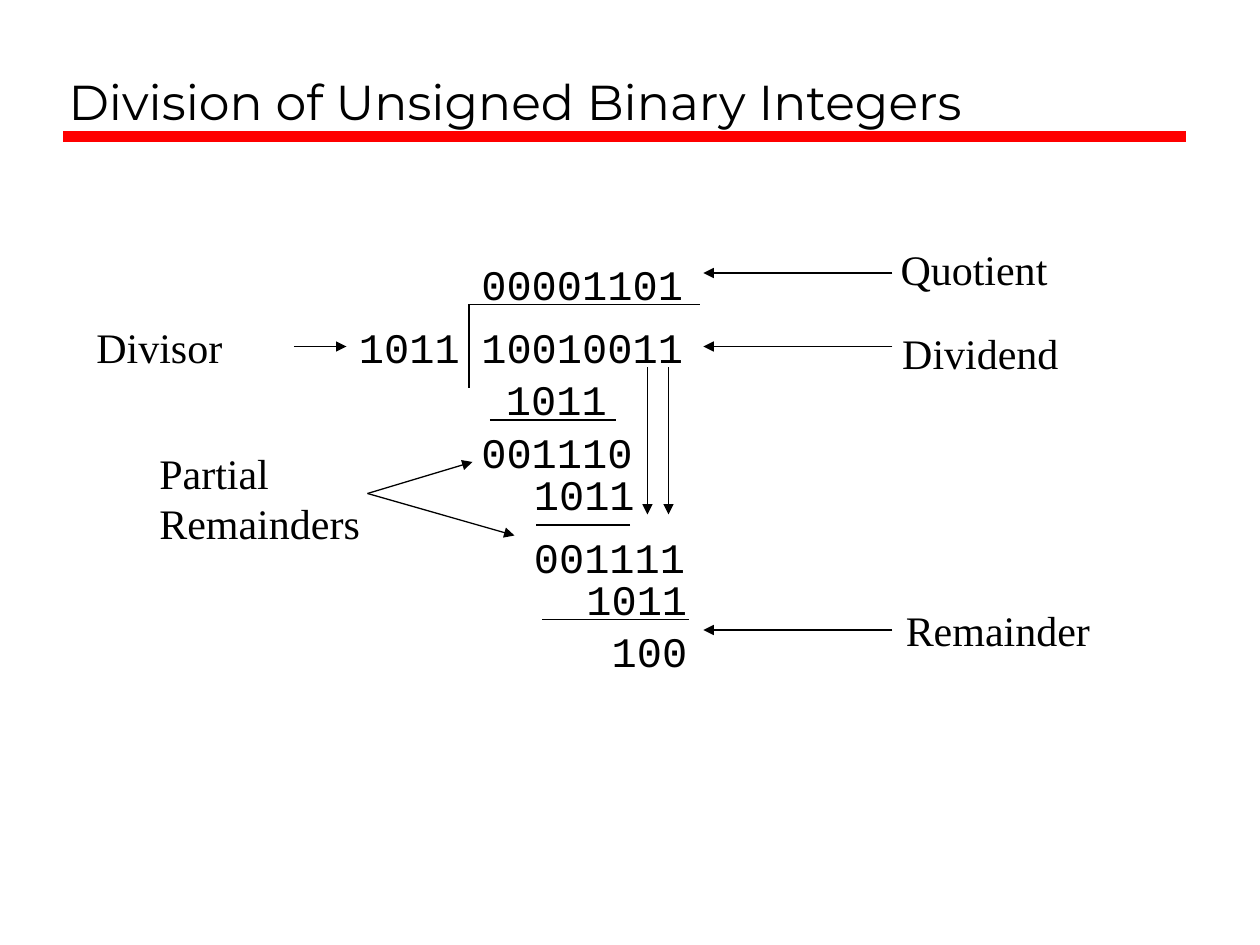
from lxml.etree import SubElement
from pptx import Presentation
from pptx.dml.color import RGBColor
from pptx.enum.shapes import MSO_CONNECTOR
from pptx.enum.text import MSO_ANCHOR, MSO_AUTO_SIZE, PP_ALIGN
from pptx.oxml.ns import qn
from pptx.util import Pt

BLACK = RGBColor(0x00, 0x00, 0x00)
RED = RGBColor(0xFF, 0x00, 0x00)

TITLE_FONT = {"name": "Montserrat", "size": Pt(28)}
DIGIT_FONT = {"name": "Courier New", "size": Pt(24)}
LABEL_FONT = {"name": "Times New Roman", "size": Pt(24)}
DIGIT_WIDTH = 14.4
LINE_HEIGHT = 36


def format_para(para, font_values):
    para.alignment = PP_ALIGN.LEFT
    for name, value in font_values.items():
        setattr(para.font, name, value)
    para.font.color.rgb = BLACK


def add_text(page, left, top, width, lines, font_values, wrap=False, height=LINE_HEIGHT):
    box = page.shapes.add_textbox(Pt(left), Pt(top), Pt(width), Pt(height))
    frame = box.text_frame
    frame.word_wrap = wrap
    frame.auto_size = MSO_AUTO_SIZE.SHAPE_TO_FIT_TEXT
    frame.text = "\n".join(lines)
    for para in frame.paragraphs:
        format_para(para, font_values)


def add_line(page, start, end, arrow=False, color=BLACK, weight=0.75):
    line = page.shapes.add_connector(
        MSO_CONNECTOR.STRAIGHT, *(Pt(value) for value in (*start, *end)))
    line.line.color.rgb = color
    line.line.width = Pt(weight)
    if arrow:
        SubElement(line.line._get_or_add_ln(), qn("a:tailEnd"), type="triangle")
    SubElement(line._element.spPr, qn("a:effectLst"))


def add_title(page, left, top, width, height):
    title = page.shapes.title
    title.left, title.top, title.width, title.height = map(Pt, (left, top, width, height))
    title.text_frame.text = "Division of Unsigned Binary Integers"
    title.text_frame.vertical_anchor = MSO_ANCHOR.BOTTOM
    format_para(title.text_frame.paragraphs[0], TITLE_FONT)
    # Red rule under the title
    rule_y = top + height
    add_line(page, (left + 4, rule_y), (left + width, rule_y), color=RED, weight=6)


def add_long_division(page, left, top):
    # Digits: left, top, text, and the width of a wrapping box
    digits = [
        (0, 36, "1011", 76),
        (70, 0, "00001101", 130.5),
        (70, 36, "10010011", 150),
        (84, 66, "1011", 76),
        (70, 96, "001110", None),
        (100, 120, "1011", None),
        (100, 156, "001111", None),
        (130, 180, "1011", None),
        (144.5, 210, "100", None),
    ]
    for x, y, number, width in digits:
        fitted = DIGIT_WIDTH * (len(number) + 1)
        add_text(page, left + x, top + y, width or fitted, [number],
                 DIGIT_FONT, wrap=width is not None)

    # Division bracket and subtraction rules
    rules = [
        ((202, 30), (70, 30)),
        ((70, 30), (70, 78)),
        ((82, 96), (154, 96)),
        ((162, 156), (108, 156)),
        ((112, 210), (196, 210)),
    ]
    for (x1, y1), (x2, y2) in rules:
        add_line(page, (left + x1, top + y1), (left + x2, top + y2))

    # Digits brought down
    for x in (172, 184):
        add_line(page, (left + x, top + 66), (left + x, top + 150), arrow=True)


def add_right_labels(page, left, top):
    # Label: left, top, width, and the height of its arrow
    labels = [
        ("Quotient", 105.5, 0.5, 101, 21),
        ("Dividend", 106.5, 48.5, 105, 63),
        ("Remainder", 108.5, 207, 121, 225),
    ]
    for name, x, y, width, arrow_y in labels:
        add_text(page, left + x, top + y, width, [name], LABEL_FONT, wrap=True)
        add_line(page, (left + 108, top + arrow_y), (left, top + arrow_y), arrow=True)


def add_left_labels(page, left, top):
    # Divisor
    add_text(page, left, top, 88, ["Divisor"], LABEL_FONT, wrap=True)
    add_line(page, (left + 120, top + 18), (left + 150, top + 18), arrow=True)
    # Partial remainders, with one arrow to each
    add_text(page, left + 36, top + 72, 131, ["Partial", "Remainders"],
             LABEL_FONT, wrap=True, height=65)
    for x, y in ((222, 84), (246, 126)):
        add_line(page, (left + 162, top + 102), (left + x, top + y), arrow=True)


def main():
    deck = Presentation()
    deck.slide_width, deck.slide_height = Pt(720), Pt(540)
    page = deck.slides.add_slide(deck.slide_layouts[5])
    add_title(page, 32, 12, 646, 66)
    add_long_division(page, 198, 144)
    add_right_labels(page, 402, 135)
    add_left_labels(page, 48, 180)
    deck.save("out.pptx")


if __name__ == "__main__":
    main()
